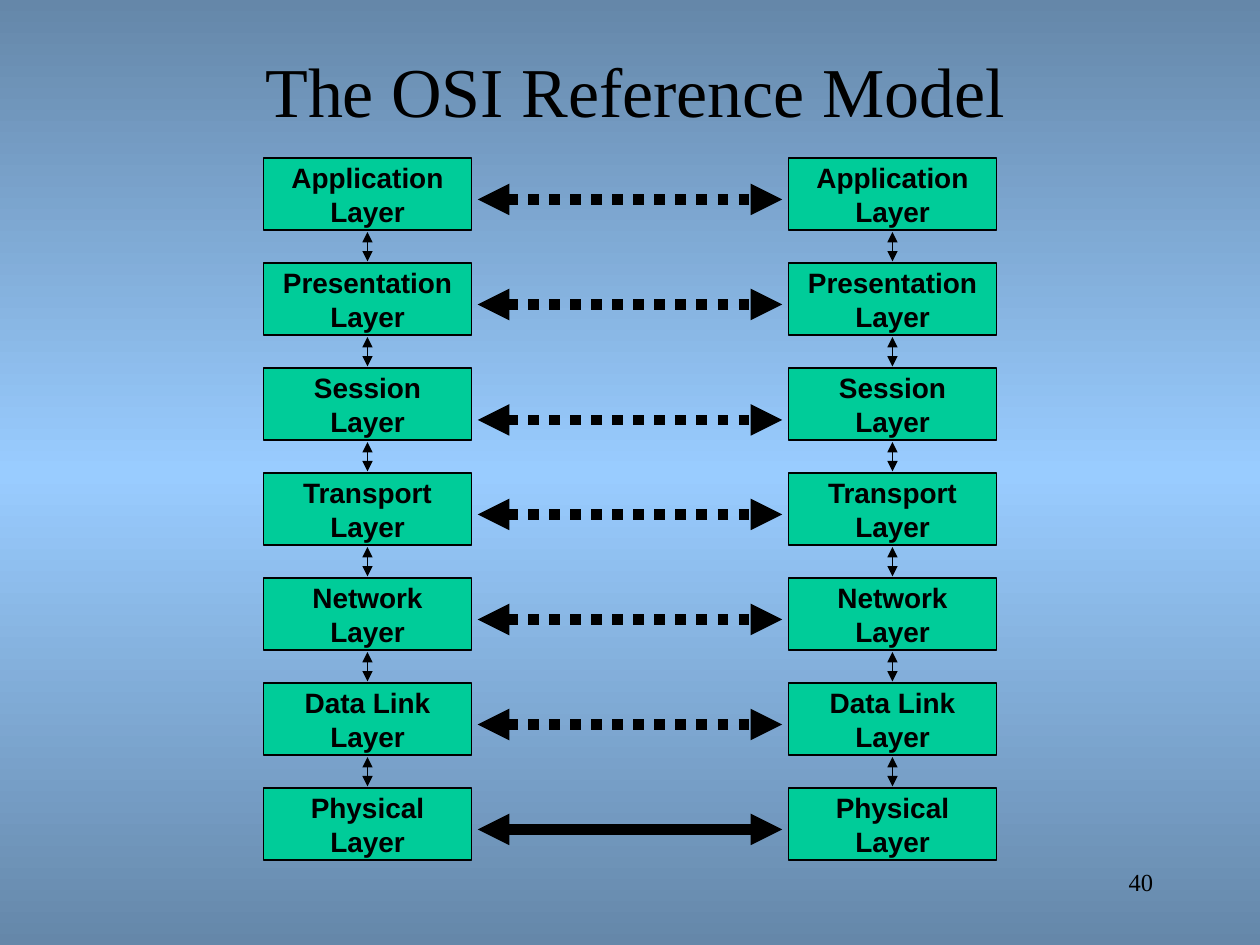
from copy import deepcopy

from pptx import Presentation
from pptx.dml.color import RGBColor
from pptx.enum.dml import MSO_LINE
from pptx.enum.shapes import MSO_CONNECTOR, MSO_SHAPE
from pptx.enum.text import MSO_ANCHOR, PP_ALIGN
from pptx.oxml.xmlchemy import OxmlElement
from pptx.util import Inches, Pt

BLACK, GREEN = "000000", "00CC99"
EDGE_BLUE, MIDDLE_BLUE = "6587A9", "99CCFF"
LAYERS = ["Application", "Presentation", "Session", "Transport",
          "Network", "Data Link", "Physical"]

deck = Presentation()
deck.slide_width, deck.slide_height = Inches(10), Inches(7.5)
page = deck.slides.add_slide(deck.slide_layouts[5])

# The slide is a grid of 12 columns by 9 rows of square cells
CELL = deck.slide_width / 12
BOX_WIDTH, BOX_HEIGHT = Inches(1.65), Inches(0.57)
STACK_CENTERS = [3.5, 8.5]
FIRST_ROW = 1.85


def add_text(para, text, size, font, bold=False):
    span = para.add_run()
    span.text = text
    span.font.size, span.font.name, span.font.bold = Pt(size), font, bold
    span.font.color.rgb = RGBColor.from_string(BLACK)


def add_double_arrow(shapes, start, end, width, dash=None):
    """Draw a two-headed arrow between two (column, row) grid points."""
    points = [int(value * CELL) for value in (*start, *end)]
    arrow = shapes.add_connector(MSO_CONNECTOR.STRAIGHT, *points)
    arrow.line.color.rgb = RGBColor.from_string(BLACK)
    arrow.line.width = Pt(width)
    if dash:
        arrow.line.dash_style = dash
    line_xml = arrow.line._get_or_add_ln()
    for tag in ("a:headEnd", "a:tailEnd"):
        head = OxmlElement(tag)
        head.set("type", "triangle")
        line_xml.append(head)
    arrow._element.spPr.append(OxmlElement("a:effectLst"))


# Background: vertical gradient, lightest in the middle
backdrop = page.background.fill
backdrop.gradient()
backdrop.gradient_angle = 270
stop_list = page.element.xpath(".//a:gsLst")[0]
stop_list.append(deepcopy(stop_list[0]))
for stop, position, colour in zip(backdrop.gradient_stops, (0, 0.5, 1),
                                  (EDGE_BLUE, MIDDLE_BLUE, EDGE_BLUE)):
    stop.position = position
    stop.color.rgb = RGBColor.from_string(colour)

# Title
title = page.shapes.title
title.left, title.top = int(1.3 * CELL), int(0.4 * CELL)
title.width, title.height = int(9.5 * CELL), int(0.9 * CELL)
title.text_frame.vertical_anchor = MSO_ANCHOR.MIDDLE
para = title.text_frame.paragraphs[0]
para.alignment = PP_ALIGN.CENTER
add_text(para, "The OSI Reference Model", 40, "Times New Roman")

# One stack of layers for each end system
for center in STACK_CENTERS:
    stack = page.shapes.add_group_shape().shapes
    for row, layer in enumerate(LAYERS):
        middle = FIRST_ROW + row
        box = stack.add_shape(MSO_SHAPE.RECTANGLE,
                              int(center * CELL - BOX_WIDTH / 2),
                              int(middle * CELL - BOX_HEIGHT / 2),
                              BOX_WIDTH, BOX_HEIGHT)
        box.shadow.inherit = False
        box.fill.solid()
        box.fill.fore_color.rgb = RGBColor.from_string(GREEN)
        box.line.color.rgb = RGBColor.from_string(BLACK)
        box.line.width = Pt(1)
        box.text_frame.word_wrap = False
        box.text_frame.vertical_anchor = MSO_ANCHOR.MIDDLE
        para = box.text_frame.paragraphs[0]
        para.alignment = PP_ALIGN.CENTER
        add_text(para, layer, 16, "Arial", bold=True)
        para.add_line_break()
        add_text(para, "Layer", 16, "Arial", bold=True)
        if row < len(LAYERS) - 1:
            add_double_arrow(stack, (center, middle + 0.36),
                             (center, middle + 0.64), 1)

# Peer links: dotted between layers, solid for the physical link
for row, layer in enumerate(LAYERS):
    level = FIRST_ROW + row + (0.15 if layer == "Session" else 0.05)
    dash = None if layer == "Physical" else MSO_LINE.ROUND_DOT
    add_double_arrow(page.shapes, (4.55, level), (7.45, level), 6, dash)

# Page number
number = page.shapes.add_textbox(int(8.6 * CELL), int(8.2 * CELL),
                                 int(2.5 * CELL), int(0.6 * CELL))
number.text_frame.word_wrap = True
para = number.text_frame.paragraphs[0]
para.alignment = PP_ALIGN.RIGHT
add_text(para, "40", 14, "Times New Roman")

deck.save("out.pptx")
